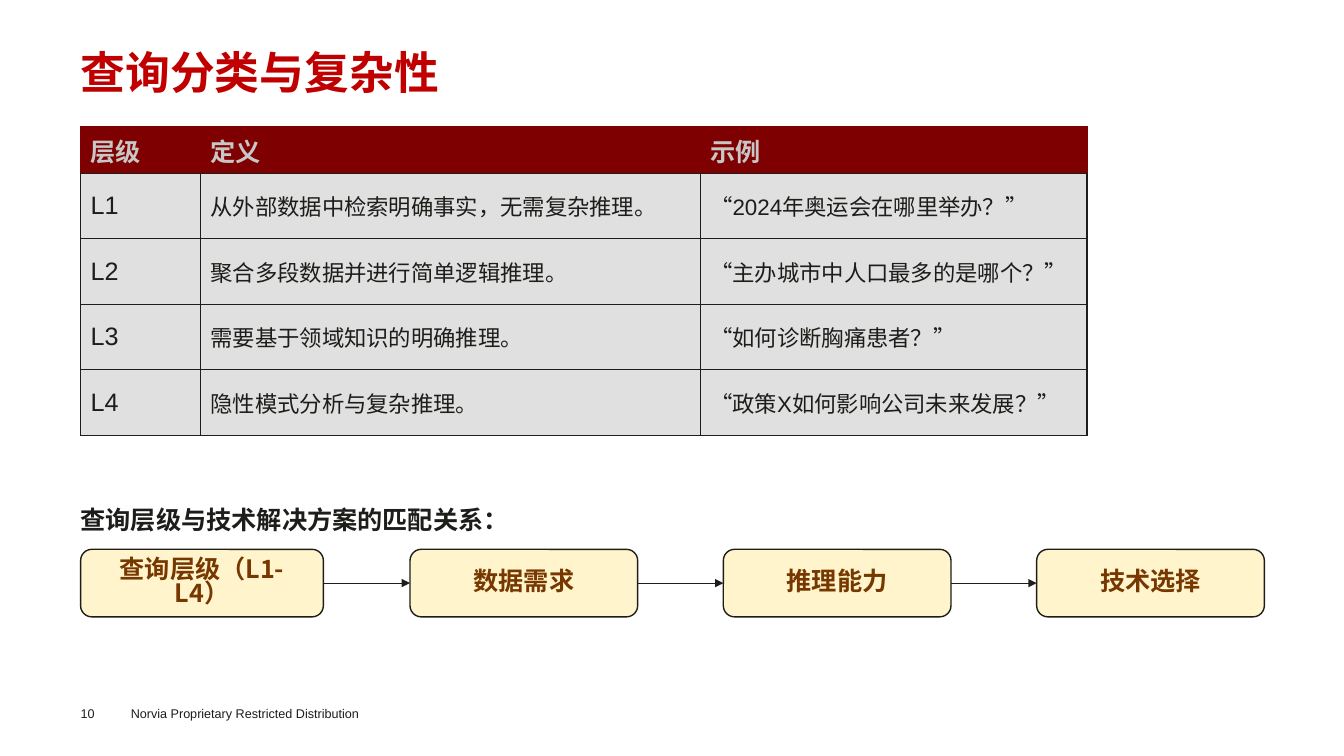
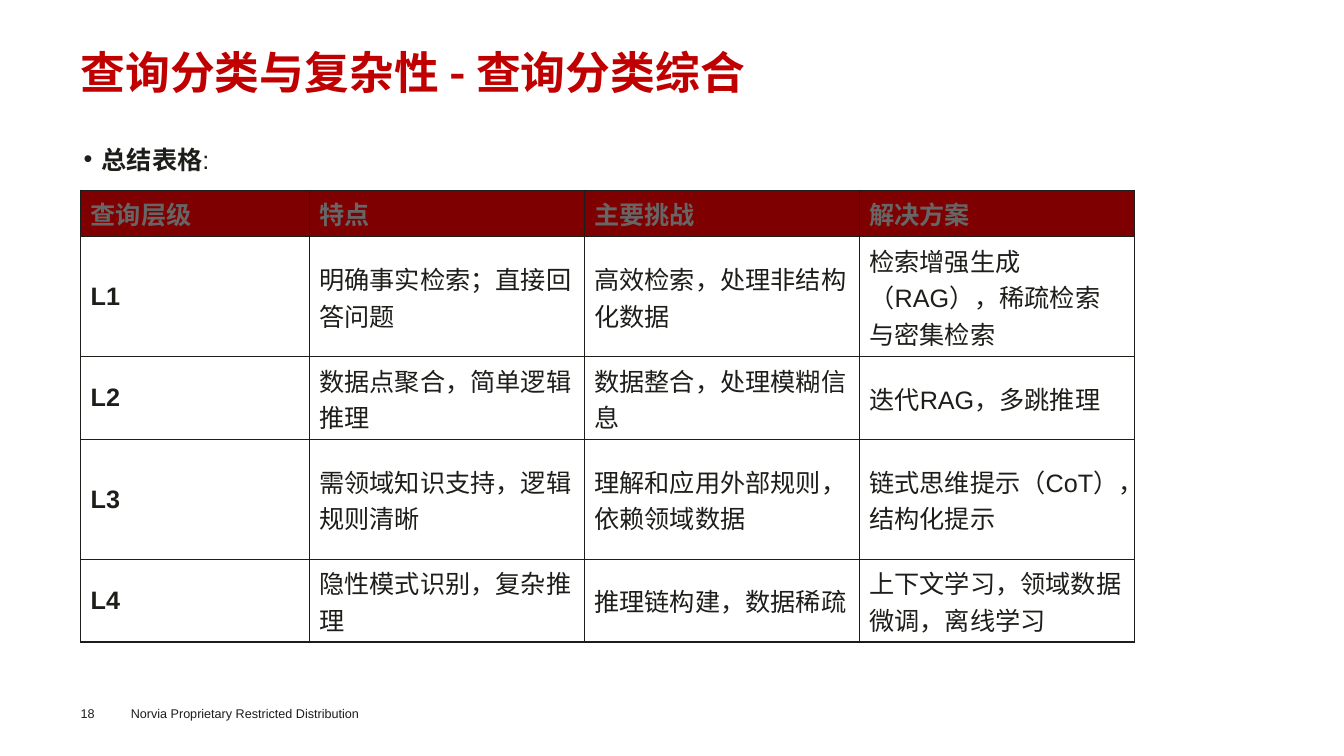
"""Build two slides on query levels and how they match technical solutions."""
import pptx
import pptx.util
import pptx.dml.color
import pptx.enum.dml
import pptx.enum.lang
import pptx.enum.shapes
import pptx.enum.text
import pptx.oxml.ns
from lxml import etree

Inches = pptx.util.Inches
Pt = pptx.util.Pt
RGBColor = pptx.dml.color.RGBColor
qn = pptx.oxml.ns.qn

RED = RGBColor(0xC0, 0x00, 0x00)
MAROON = RGBColor(0x7F, 0x00, 0x00)
INK = RGBColor(0x1D, 0x1D, 0x1A)
SILVER = RGBColor(0xC7, 0xC7, 0xC7)
GRAY = RGBColor(0x66, 0x66, 0x66)
PALE = RGBColor(0xE0, 0xE0, 0xE0)
CREAM = RGBColor(0xFF, 0xF4, 0xCB)
BROWN = RGBColor(0x76, 0x37, 0x00)
LATIN = "Arial"
HAN = "Noto Sans CJK SC"
LEFT = 0.8
MIDDLE = pptx.enum.text.MSO_ANCHOR.MIDDLE
CENTER = pptx.enum.text.PP_ALIGN.CENTER

LEVELS = [
    ["层级", "定义", "示例"],
    ["L1", "从外部数据中检索明确事实，无需复杂推理。", "“2024年奥运会在哪里举办？”"],
    ["L2", "聚合多段数据并进行简单逻辑推理。", "“主办城市中人口最多的是哪个？”"],
    ["L3", "需要基于领域知识的明确推理。", "“如何诊断胸痛患者？”"],
    ["L4", "隐性模式分析与复杂推理。", "“政策X如何影响公司未来发展？”"],
]
SUMMARY = [
    ["查询层级", "特点", "主要挑战", "解决方案"],
    ["L1", "明确事实检索；直接回答问题", "高效检索，处理非结构化数据",
     "检索增强生成（RAG），稀疏检索与密集检索"],
    ["L2", "数据点聚合，简单逻辑推理", "数据整合，处理模糊信息", "迭代RAG，多跳推理"],
    ["L3", "需领域知识支持，逻辑规则清晰", "理解和应用外部规则，依赖领域数据",
     "链式思维提示（CoT），结构化提示"],
    ["L4", "隐性模式识别，复杂推理", "推理链构建，数据稀疏",
     "上下文学习，领域数据微调，离线学习"],
]
STEPS = ["查询层级（L1-L4）", "数据需求", "推理能力", "技术选择"]


def write(frame, text, size=18, color=INK, bold=False, font=LATIN,
          align=None, space=None, tail=""):
    para = frame.paragraphs[0]
    para.alignment = align
    para.line_spacing = space
    for part, heavy in ((text, bold), (tail, False)):
        if part:
            run = para.add_run()
            run.text = part
            run.font.size = Pt(size)
            run.font.bold = heavy
            run.font.name = font
            run.font.color.rgb = color
            run.font.language_id = pptx.enum.lang.MSO_LANGUAGE_ID.SIMPLIFIED_CHINESE
            east = etree.SubElement(run.font._element, qn("a:ea"))
            east.set("typeface", HAN)
    return para


def add_text(slide, text, left, top, width, height, inset=0, **style):
    box = slide.shapes.add_textbox(*map(Inches, (left, top, width, height)))
    frame = box.text_frame
    frame.word_wrap = True
    frame.margin_left = frame.margin_right = Inches(inset)
    frame.margin_top = frame.margin_bottom = Inches(inset / 2)
    return write(frame, text, **style)


def add_bullet(slide, text, left, top, width, height, **style):
    para = add_text(slide, text, left, top, width, height, **style)
    para.space_after = Pt(6)
    props = para._p.get_or_add_pPr()
    props.set("marL", str(Inches(0.2)))
    props.set("indent", str(Inches(-0.18)))
    etree.SubElement(props, qn("a:buFont")).set("typeface", LATIN)
    etree.SubElement(props, qn("a:buChar")).set("char", "•")


def edge(cell, side, color, width):
    props = cell._tc.get_or_add_tcPr()
    line = etree.SubElement(props, qn("a:ln" + side), w=str(Pt(width)))
    fill = etree.SubElement(line, qn("a:solidFill"))
    etree.SubElement(fill, qn("a:srgbClr"), val=str(color))


def paint(cell, color):
    if color is None:
        cell.fill.background()
    else:
        cell.fill.solid()
        cell.fill.fore_color.rgb = color


def add_grid(slide, data, left, top, cols, rows, head, body=None,
             rim=INK, size=18, strong=False):
    spot = map(Inches, (left, top, sum(cols), sum(rows)))
    table = slide.shapes.add_table(len(rows), len(cols), *spot).table
    table.horz_banding = False
    for col, width in zip(table.columns, cols):
        col.width = Inches(width)
    for r, (row, height) in enumerate(zip(data, rows)):
        table.rows[r].height = Inches(height)
        top_row = r == 0
        for c, text in enumerate(row):
            cell = table.cell(r, c)
            cell.vertical_anchor = MIDDLE
            for side in "LRTB":
                plain = not top_row or side == "B"
                edge(cell, side, INK if plain else rim, 1)
            paint(cell, MAROON if top_row else body)
            write(cell.text_frame, text,
                  size=18 if top_row or c == 0 else size,
                  color=head if top_row else INK,
                  bold=top_row or (strong and c == 0))


def add_step(slide, text, left, width):
    kind = pptx.enum.shapes.MSO_SHAPE.ROUNDED_RECTANGLE
    box = slide.shapes.add_shape(kind, *map(Inches, (left, 5.45, width, 0.67)))
    box.shadow.inherit = False
    box.fill.solid()
    box.fill.fore_color.rgb = CREAM
    box.line.color.rgb = INK
    box.line.width = Pt(1)
    box.text_frame.word_wrap = True
    box.text_frame.vertical_anchor = MIDDLE
    write(box.text_frame, text, color=BROWN, bold=True, font=HAN,
          align=CENTER, space=0.8)
    return box


def add_arrow(slide, start, end):
    kind = pptx.enum.shapes.MSO_CONNECTOR.STRAIGHT
    line = slide.shapes.add_connector(kind, 0, 0, 0, 0)
    line.begin_connect(start, 3)
    line.end_connect(end, 1)
    line.line.color.rgb = INK
    line.line.width = Pt(0.5)
    etree.SubElement(line.line._get_or_add_ln(), qn("a:tailEnd"), type="triangle")
    etree.SubElement(line._element.spPr, qn("a:effectLst"))


def add_flow(slide):
    last = None
    for i, text in enumerate(STEPS):
        left, width = (4.07 + 3.11 * (i - 1), 2.26) if i else (LEFT, 2.41)
        box = add_step(slide, text, left, width)
        if last is not None:
            add_arrow(slide, last, box)
        last = box


def add_page(deck, title, number):
    slide = deck.slides.add_slide(deck.slide_layouts[6])
    add_text(slide, title, LEFT, 0.5, 11.75, 0.56, size=32, color=RED,
             bold=True, font=HAN, space=Pt(34.3))
    add_text(slide, number, LEFT, 7, 0.4, 0.15, size=9)
    add_text(slide, "Norvia Proprietary Restricted Distribution",
             1.2, 6.95, 2.8, 0.25, inset=0.1, size=9)
    return slide


def main():
    deck = pptx.Presentation()
    deck.slide_width, deck.slide_height = Inches(13.34), Inches(7.5)

    slide = add_page(deck, "查询分类与复杂性", "10")
    add_grid(slide, LEVELS, LEFT, 1.26, [1.19, 4.96, 3.84],
             [0.46] + [0.65] * 4, SILVER, body=PALE, rim=MAROON, size=16)
    add_text(slide, "查询层级与技术解决方案的匹配关系：", LEFT, 4.83, 4.6, 0.42,
             bold=True, space=Pt(34.4))
    add_flow(slide)

    slide = add_page(deck, "查询分类与复杂性 - 查询分类综合", "18")
    add_bullet(slide, "总结表格", 0.81, 1.43, 11.74, 0.4, bold=True, tail=":")
    add_grid(slide, SUMMARY, LEFT, 1.89, [2.27] + [2.73] * 3,
             [0.46, 1.19, 0.82, 1.19, 0.82], GRAY, strong=True)

    deck.save("out.pptx")


if __name__ == "__main__":
    main()
